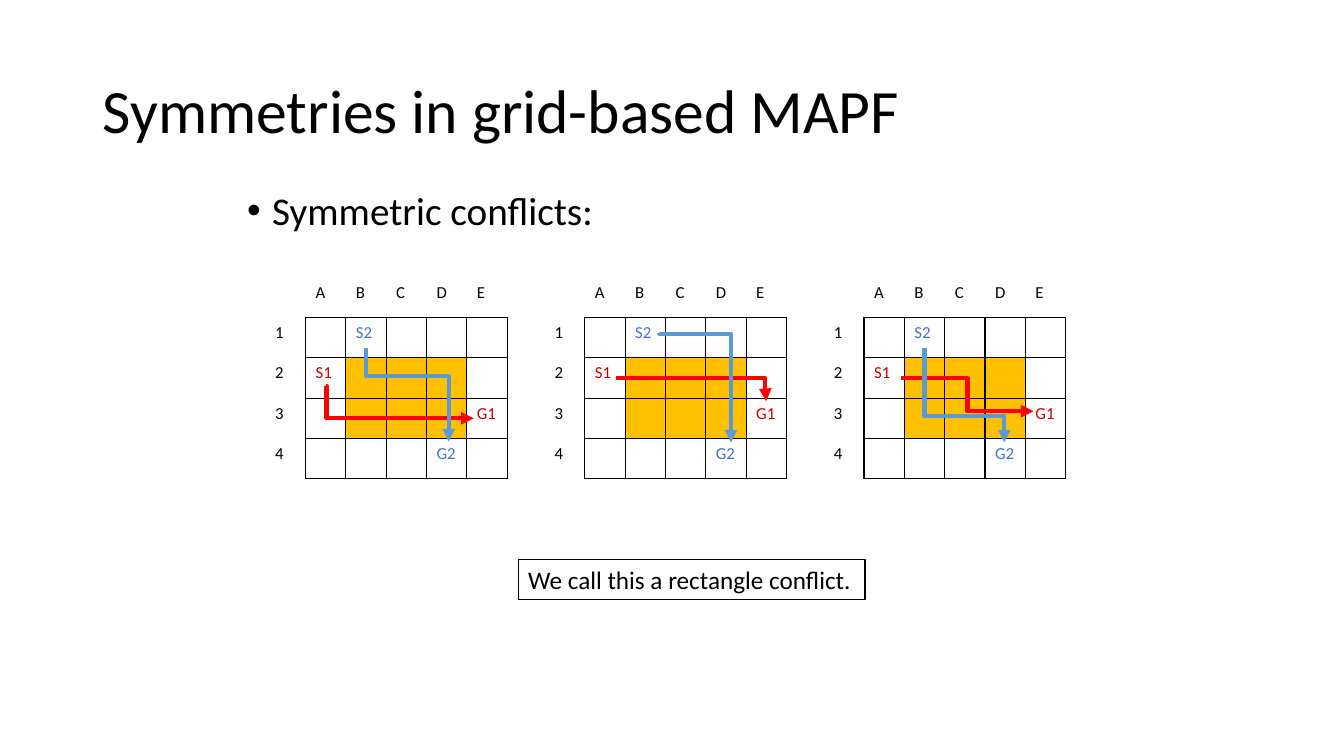
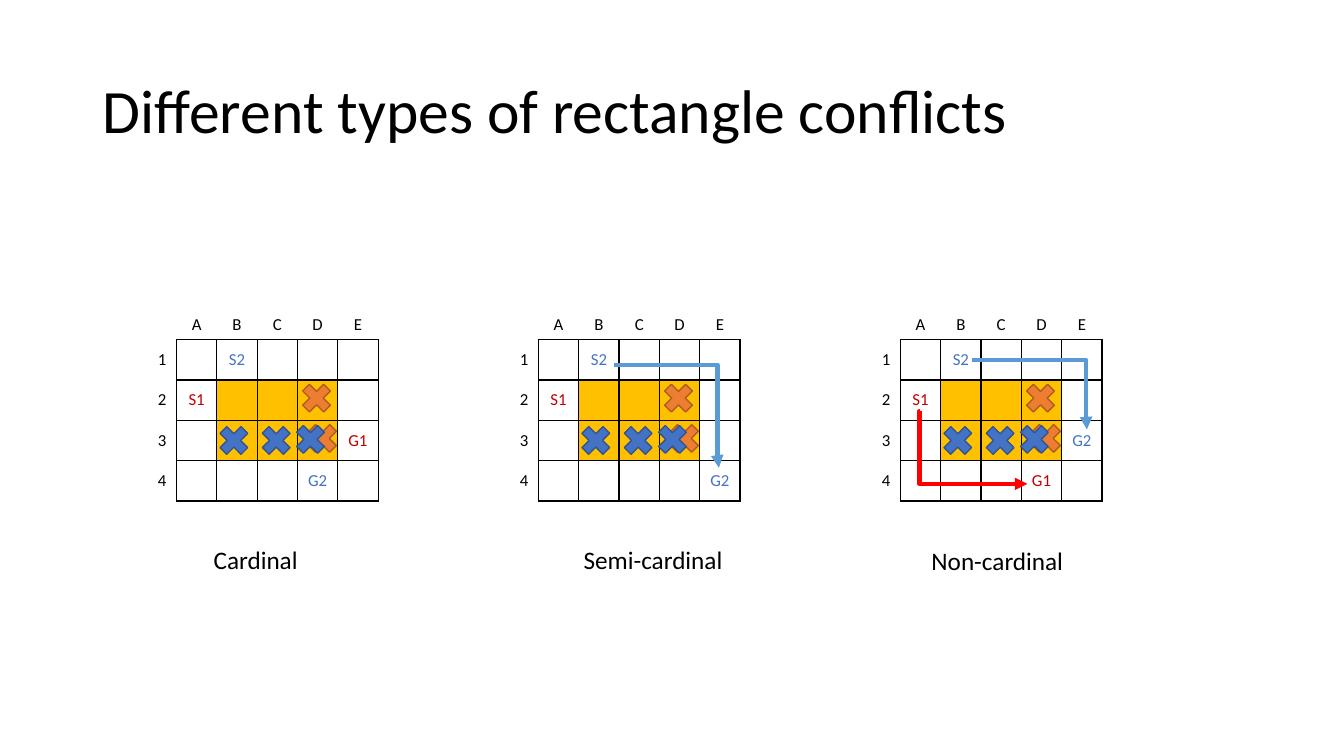
import pptx
import pptx.dml.color
import pptx.enum.shapes
import pptx.enum.text
import pptx.oxml.ns
import pptx.util
from lxml import etree

Inches = pptx.util.Inches
Pt = pptx.util.Pt
qn = pptx.oxml.ns.qn
ALIGN = pptx.enum.text.PP_ALIGN
ANCHOR = pptx.enum.text.MSO_ANCHOR
FIT = pptx.enum.text.MSO_AUTO_SIZE
SHAPE = pptx.enum.shapes.MSO_SHAPE
ELBOW = pptx.enum.shapes.MSO_CONNECTOR.ELBOW

FONT = "Calibri"
BLACK, WHITE, GOLD = "000000", "FFFFFF", "FFC000"
AGENT_COLORS = {"1": "C00000", "2": "4472C4"}
RED_PATH, BLUE_PATH = "FF0000", "5B9BD5"
PLAIN_TABLE = "{2D5ABB26-0587-4C30-8999-92F81FD0307C}"
CELL = 0.4


def rgb(value):
    return pptx.dml.color.RGBColor.from_string(value)


def write(frame, text, size, color=BLACK, paragraph_format=None, **frame_format):
    for name, value in frame_format.items():
        setattr(frame, name, value)
    paragraph = frame.paragraphs[0]
    for name, value in (paragraph_format or {}).items():
        setattr(paragraph, name, value)
    run = paragraph.add_run()
    run.text = text
    for name, value in {"name": FONT, "size": Pt(size)}.items():
        setattr(run.font, name, value)
    run.font.color.rgb = rgb(color)
    return paragraph


presentation = pptx.Presentation()
presentation.slide_width = Inches(13.33)
presentation.slide_height = Inches(7.5)

# Slides and titles
slides = []
for layout_index, title in [
    (1, "Symmetries in grid-based MAPF"),
    (5, "Different types of rectangle conflicts"),
]:
    slide = presentation.slides.add_slide(presentation.slide_layouts[layout_index])
    shape = slide.shapes.title
    shape.left, shape.top, shape.width, shape.height = map(Inches, (0.92, 0.4, 11.5, 1.45))
    write(shape.text_frame, title, 44,
          paragraph_format={"alignment": ALIGN.LEFT, "line_spacing": 0.9},
          vertical_anchor=ANCHOR.MIDDLE, auto_size=FIT.NONE)
    slides.append(slide)
symmetry_slide, types_slide = slides

# Bullet on the first slide
body = symmetry_slide.placeholders[1]
body.left, body.top, body.width, body.height = map(Inches, (2.35, 1.85, 8.62, 0.68))
bullet = write(body.text_frame, "Symmetric conflicts:", 28,
               paragraph_format={"line_spacing": 0.9, "space_before": Pt(10)},
               auto_size=FIT.NONE)
bullet_properties = bullet._p.get_or_add_pPr()
bullet_properties.set("marL", str(Inches(0.25)))
bullet_properties.set("indent", str(-Inches(0.25)))

# Grids: start and goal cells as (row, column)
starts = {(1, 2): "S2", (2, 1): "S1"}
crossing_goals = {(3, 5): "G1", (4, 4): "G2"}
goals_by_slide = [
    [crossing_goals] * 3,
    [crossing_goals, {(3, 4): "G1", (4, 5): "G2"}, {(3, 5): "G2", (4, 4): "G1"}],
]
grid_layouts = [
    {"left": 2.63, "top": 2.75, "step": 2.77, "centered": False},
    {"left": 1.35, "top": 2.97, "step": 3.59, "centered": True},
]
headers = {(0, column): letter for column, letter in enumerate("ABCDE", 1)}
headers.update({(row, 0): str(row) for row in range(1, 5)})

for slide, layout, goals in zip(slides, grid_layouts, goals_by_slide):
    for index, grid_goals in enumerate(goals):
        texts = {**headers, **starts, **grid_goals}
        frame = slide.shapes.add_table(
            5, 6, Inches(layout["left"] + index * layout["step"]), Inches(layout["top"]),
            Inches(6 * CELL), Inches(5 * CELL))
        table = frame.table
        table.first_row = table.horz_banding = False
        frame.element.find(".//" + qn("a:tableStyleId")).text = PLAIN_TABLE
        for column in table.columns:
            column.width = Inches(CELL)
        for table_row in table.rows:
            table_row.height = Inches(CELL)

        for row in range(5):
            for column in range(6):
                cell = table.cell(row, column)
                if row in (2, 3) and column in (2, 3, 4):
                    cell.fill.solid()
                    cell.fill.fore_color.rgb = rgb(GOLD)
                else:
                    cell.fill.background()

                # Headers only have the border they share with the grid
                if row and column:
                    sides = ["lnL", "lnR", "lnT", "lnB"]
                else:
                    sides = ["lnB"] if column else ["lnR"] if row else []
                cell_properties = cell._tc.get_or_add_tcPr()
                for position, side in enumerate(sides):
                    border = etree.Element(qn("a:" + side), w=str(Pt(1)))
                    fill = etree.SubElement(border, qn("a:solidFill"))
                    etree.SubElement(fill, qn("a:srgbClr"), val=BLACK)
                    cell_properties.insert(position, border)

                text = texts.get((row, column), "")
                if not text:
                    cell.text_frame.paragraphs[0].font.size = Pt(12)
                    continue
                alignment = ALIGN.LEFT
                if layout["centered"]:
                    alignment = ALIGN.CENTER if column else ALIGN.RIGHT
                    cell.vertical_anchor = ANCHOR.MIDDLE if row else ANCHOR.BOTTOM
                color = AGENT_COLORS[text[1]] if row and column else BLACK
                write(cell.text_frame, text, 12, color, {"alignment": alignment})

# Crosses on the second slide, as offsets from each grid
cross_groups = [
    ("ED7D31", "AF5C24", [(1.59, 0.78), (1.65, 1.18)]),
    ("4472C4", "325491", [(0.77, 1.2), (1.19, 1.2), (1.53, 1.19)]),
]
types_layout = grid_layouts[1]
for index in range(3):
    grid_left = types_layout["left"] + index * types_layout["step"]
    for fill_color, line_color, offsets in cross_groups:
        for x, y in offsets:
            cross = types_slide.shapes.add_shape(
                SHAPE.MATH_MULTIPLY, Inches(grid_left + x), Inches(types_layout["top"] + y),
                Inches(CELL), Inches(CELL))
            cross.shadow.inherit = False
            cross.fill.solid()
            cross.fill.fore_color.rgb = rgb(fill_color)
            cross.line.color.rgb = rgb(line_color)
            cross.line.width = Pt(1)

# Agent paths: start, end, colour, bend position in percent, leaves downwards
paths = [
    (symmetry_slide, (3.23, 3.83), (4.7, 4.15), RED_PATH, 0.6, False),
    (symmetry_slide, (3.63, 3.45), (4.45, 4.38), BLUE_PATH, 30.5, True),
    (symmetry_slide, (6.11, 3.75), (7.6, 3.98), RED_PATH, 99.4, False),
    (symmetry_slide, (6.54, 3.3), (7.25, 4.39), BLUE_PATH, 1.1, True),
    (symmetry_slide, (8.94, 3.75), (10.25, 4.08), RED_PATH, 50, False),
    (symmetry_slide, (9.17, 3.45), (9.96, 4.39), BLUE_PATH, 72.2, True),
    (types_slide, (9.12, 4.08), (10.19, 4.8), RED_PATH, -0.1, False),
    (types_slide, (6.09, 3.62), (7.13, 4.64), BLUE_PATH, 98.6, False),
    (types_slide, (9.64, 3.57), (10.78, 4.26), BLUE_PATH, 99.4, False),
]
for slide, (x1, y1), (x2, y2), color, bend, downwards in paths:
    connector = slide.shapes.add_connector(ELBOW, *map(Inches, (x1, y1, x2, y2)))
    connector.line.color.rgb = rgb(color)
    connector.line.width = Pt(3)
    properties = connector.element.spPr
    if downwards:
        # A quarter turn about the centre swaps width and height
        width, height = y2 - y1, x2 - x1
        connector.left = Inches((x1 + x2 - width) / 2)
        connector.top = Inches((y1 + y2 - height) / 2)
        connector.width, connector.height = Inches(width), Inches(height)
        transform = properties.find(qn("a:xfrm"))
        transform.set("rot", str(270 * 60000))
        transform.set("flipH", "1")
    adjustments = properties.find(qn("a:prstGeom")).find(qn("a:avLst"))
    etree.SubElement(adjustments, qn("a:gd"), name="adj1", fmla=f"val {round(bend * 1000)}")
    etree.SubElement(properties.find(qn("a:ln")), qn("a:tailEnd"), type="triangle")
    etree.SubElement(properties, qn("a:effectLst"))

# Captions, the first one framed
captions = [
    (symmetry_slide, "We call this a rectangle conflict.", 5.14, 5.55, 3.44, True),
    (types_slide, "Cardinal", 2.02, 5.35, 1.05, False),
    (types_slide, "Semi-cardinal", 5.69, 5.35, 1.59, False),
    (types_slide, "Non-cardinal", 9.14, 5.36, 1.52, False),
]
for slide, text, left, top, width, framed in captions:
    caption = slide.shapes.add_textbox(*map(Inches, (left, top, width, 0.4)))
    write(caption.text_frame, text, 18, word_wrap=False, auto_size=FIT.SHAPE_TO_FIT_TEXT)
    if framed:
        caption.fill.solid()
        caption.fill.fore_color.rgb = rgb(WHITE)
        caption.line.color.rgb = rgb(BLACK)
        caption.line.width = Pt(1)

presentation.save("out.pptx")
